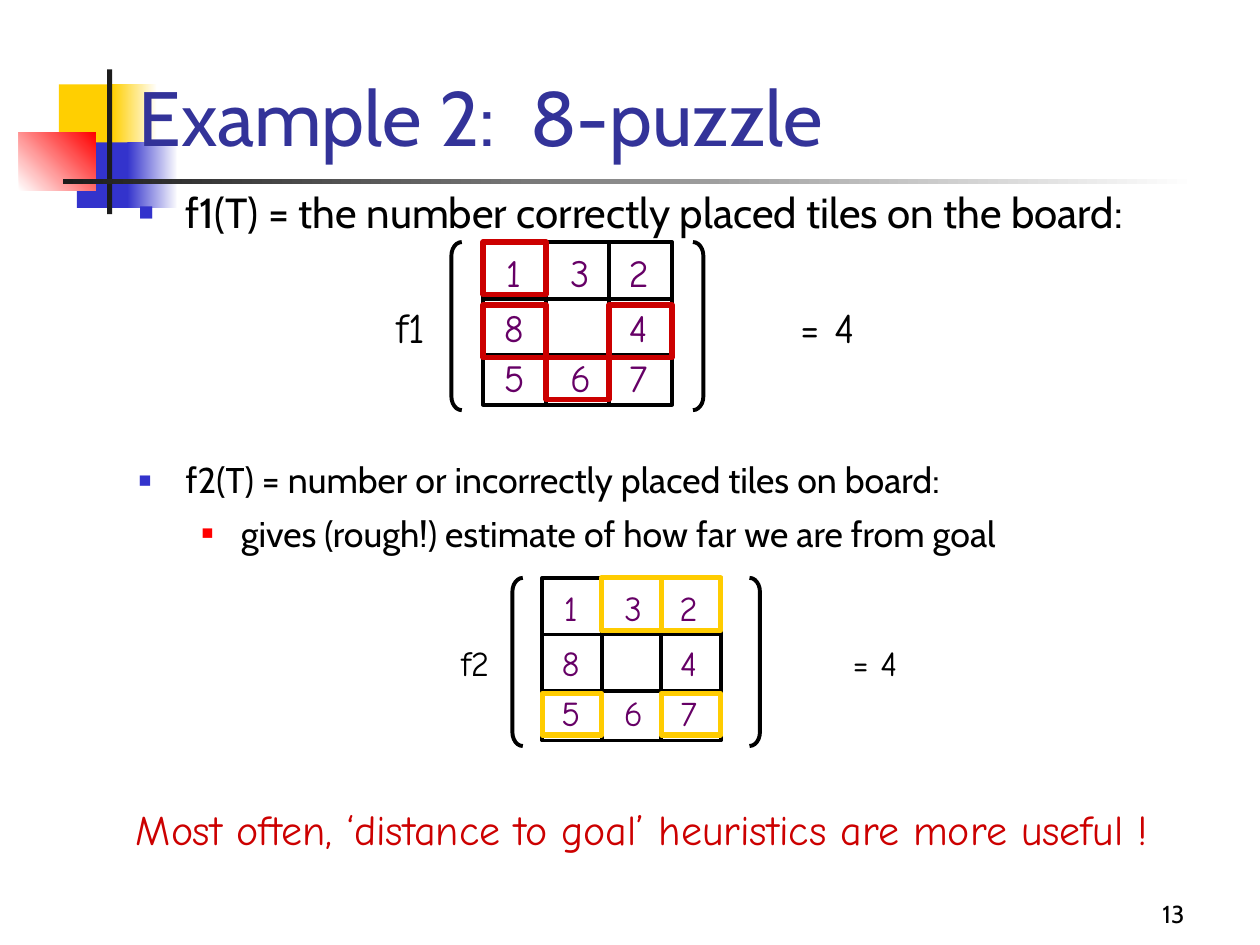
from lxml import etree
from pptx import Presentation
from pptx.dml.color import RGBColor
from pptx.enum.shapes import MSO_CONNECTOR, MSO_SHAPE
from pptx.enum.text import MSO_ANCHOR, MSO_AUTO_SIZE, PP_ALIGN
from pptx.oxml.ns import qn
from pptx.util import Cm, Pt

RECT, STRAIGHT = MSO_SHAPE.RECTANGLE, MSO_CONNECTOR.STRAIGHT
LEFT_BRACKET, RIGHT_BRACKET = MSO_SHAPE.LEFT_BRACKET, MSO_SHAPE.RIGHT_BRACKET
LEFT, CENTER, RIGHT = PP_ALIGN.LEFT, PP_ALIGN.CENTER, PP_ALIGN.RIGHT
TOP, MIDDLE, BOTTOM = MSO_ANCHOR.TOP, MSO_ANCHOR.MIDDLE, MSO_ANCHOR.BOTTOM
NO_FIT = MSO_AUTO_SIZE.NONE

BLACK = RGBColor(0x00, 0x00, 0x00)
WHITE = RGBColor(0xFF, 0xFF, 0xFF)
CHARCOAL = RGBColor(0x1C, 0x1C, 0x1C)
YELLOW = RGBColor(0xFF, 0xCF, 0x01)
BLUE = RGBColor(0x33, 0x33, 0xCC)
RED = RGBColor(0xFF, 0x00, 0x00)
INDIGO = RGBColor(0x33, 0x33, 0x99)
PURPLE = RGBColor(0x66, 0x00, 0x66)
CRIMSON = RGBColor(0xCC, 0x00, 0x00)
GOLD = RGBColor(0xFF, 0xCC, 0x00)
SANS, HAND = "Cabin", "Comic Neue"

# Content; all lengths are in centimetres
TITLE = "Example 2:  8-puzzle"
CONCLUSION = "Most often, ‘distance to goal’ heuristics are more useful !"
PAGE = "13"

# top, size, [(level, text)]
LISTS = [
    (3.63, 24, [(0, "f1(T) = the number correctly placed tiles on the board:")]),
    (9.11, 20.4, [(0, "f2(T) = number or incorrectly placed tiles on board:"),
                  (1, "gives (rough!) estimate of how far we are from goal")]),
]
# margin, hanging indent, bullet colour, bullet size in percent
BULLETS = [(0.95, 0.95, BLUE, 60), (2.06, 0.79, RED, 55)]

TILES = ["132", "8 4", "567"]
BOARDS = [
    dict(name="f1", value="= 4", left=9.74, top=4.88, cell=1.27,
         tile_size=22, label_size=24, name_x=8.28, value_x=16.69,
         brackets=(9.1, 13.97), marked="1846", mark_color=CRIMSON),
    dict(name="f2", value="= 4", left=10.93, top=11.65, cell=1.2,
         tile_size=20, label_size=20, name_x=9.58, value_x=17.64,
         brackets=(10.33, 15.11), marked="3257", mark_color=GOLD),
]
# Vertical offsets that both boards share
ROW_EDGES = [0, 1.14, 2.28, 3.28]
TILE_MIDDLES = [0.6, 1.71, 2.72]
MARKS = [(0, 1.06), (1.27, 1.06), (2.33, 0.84)]
TILE_CENTERS = [0.48, 1.53, 2.46]  # in cell widths
LABEL_MIDDLE = 1.71
BRACKET_SIZE = (0.21, 3.39)
# Text box widths
TILE_WIDTH, NAME_WIDTH, VALUE_WIDTH = 0.88, 1.6, 2.6

# left, top, width, height, first colour, last colour, angle
DECORATION = [
    (1.19, 1.7, 1.22, 1.32, YELLOW, None, 0),
    (2.26, 1.7, 0.91, 1.32, YELLOW, WHITE, 0),
    (1.55, 2.87, 1.17, 1.32, BLUE, None, 0),
    (2.57, 2.87, 1.02, 1.32, BLUE, WHITE, 0),
    (0.38, 2.67, 1.55, 1.17, WHITE, RED, 45),
    (2.16, 1.4, 0.1, 2.92, CHARCOAL, None, 0),
    (1.27, 3.61, 22.86, 0.1, CHARCOAL, WHITE, 0),
]

prs = Presentation()
prs.slide_width, prs.slide_height = Cm(25.4), Cm(19.05)
slide = prs.slides.add_slide(prs.slide_layouts[3])
shapes = slide.shapes


def place(shape, left, top, width, height):
    shape.left, shape.top, shape.width, shape.height = map(
        Cm, (left, top, width, height))


def style(paragraph, size, color, font, align=LEFT):
    paragraph.alignment = align
    for run in paragraph.runs:
        run.font.size, run.font.name = Pt(size), font
        run.font.color.rgb = color


def add_outline(kind, box, color, width, fill=None):
    shape = shapes.add_shape(kind, *map(Cm, box))
    shape.shadow.inherit = False
    if fill is None:
        shape.fill.background()
    else:
        shape.fill.solid()
        shape.fill.fore_color.rgb = fill
    shape.line.color.rgb, shape.line.width = color, Pt(width)
    return shape


def add_line(x1, y1, x2, y2):
    line = shapes.add_connector(STRAIGHT, *map(Cm, (x1, y1, x2, y2)))
    line.line.color.rgb, line.line.width = BLACK, Pt(2.25)
    etree.SubElement(line.element.spPr, qn("a:effectLst"))


def add_text(text, box, size, color, font, align=LEFT, anchor=TOP, wrap=True):
    frame = shapes.add_textbox(*map(Cm, box)).text_frame
    frame.word_wrap, frame.vertical_anchor = wrap, anchor
    frame.text = text
    style(frame.paragraphs[0], size, color, font, align)


def add_centered(text, x, y, width, size, color):
    add_text(text, (x - width / 2, y - 0.6, width, 1.2), size, color, HAND,
             CENTER, MIDDLE, wrap=False)


def set_bullet(paragraph, margin, hanging, color, percent):
    props = paragraph._p.get_or_add_pPr()
    props.set("marL", str(Cm(margin)))
    props.set("indent", str(-Cm(hanging)))
    bullet_color = etree.SubElement(props, qn("a:buClr"))
    etree.SubElement(bullet_color, qn("a:srgbClr"), val=str(color))
    etree.SubElement(props, qn("a:buSzPct"), val=str(percent * 1000))
    etree.SubElement(props, qn("a:buChar"), char="■")


def add_board(board):
    left, top, cell = board["left"], board["top"], board["cell"]
    width, height = 3 * cell, ROW_EDGES[-1]
    add_outline(RECT, (left, top, width, height), BLACK, 2.25, WHITE)
    for i in (1, 2):
        x, y = left + i * cell, top + ROW_EDGES[i]
        add_line(x, top, x, top + height)
        add_line(left, y, left + width, y)

    for row, digits in enumerate(TILES):
        mark_top, mark_height = MARKS[row]
        for column, digit in enumerate(digits):
            if digit == " ":
                continue
            add_centered(digit, left + TILE_CENTERS[column] * cell,
                         top + TILE_MIDDLES[row], TILE_WIDTH,
                         board["tile_size"], PURPLE)
            if digit in board["marked"]:
                add_outline(RECT, (left + column * cell, top + mark_top,
                                   cell, mark_height), board["mark_color"], 3)

    for kind, x in zip((LEFT_BRACKET, RIGHT_BRACKET), board["brackets"]):
        bracket = add_outline(kind, (x, top, *BRACKET_SIZE), BLACK, 2.25)
        bracket.adjustments[0] = 1.33
    for key, label_width in (("name", NAME_WIDTH), ("value", VALUE_WIDTH)):
        add_centered(board[key], board[key + "_x"], top + LABEL_MIDDLE,
                     label_width, board["label_size"], BLACK)


# Corner decoration, kept behind the placeholders
placeholders = list(slide.placeholders)
for *box, first, last, angle in DECORATION:
    block = shapes.add_shape(RECT, *map(Cm, box))
    block.shadow.inherit = False
    block.line.fill.background()
    if last is None:
        block.fill.solid()
        block.fill.fore_color.rgb = first
    else:
        block.fill.gradient()
        block.fill.gradient_angle = angle
        for stop, color in zip(block.fill.gradient_stops, (first, last)):
            stop.color.rgb = color
for placeholder in placeholders:
    placeholder.element.getparent().append(placeholder.element)

# Title and lists
title, *bodies = placeholders[:3]
place(title, 2.54, 0.22, 20.52, 3.18)
title.text_frame.text = TITLE
title.text_frame.vertical_anchor = BOTTOM
title.text_frame.auto_size = NO_FIT
style(title.text_frame.paragraphs[0], 44, INDIGO, SANS)

for body, (top, size, items) in zip(bodies, LISTS):
    place(body, 2.54, top, 21.16, 2.54)
    frame = body.text_frame
    frame.text = "\n".join(text for _, text in items)
    frame.auto_size, frame.vertical_anchor = NO_FIT, TOP
    for paragraph, (level, _) in zip(frame.paragraphs, items):
        paragraph.level = level
        paragraph.space_before = Pt(6)
        style(paragraph, size, BLACK, SANS)
        set_bullet(paragraph, *BULLETS[level])

# Boards, conclusion and page number
for board in BOARDS:
    add_board(board)
add_text(CONCLUSION, (2.49, 16.08, 21.01, 1.27), 24, CRIMSON, HAND, wrap=False)
add_text(PAGE, (18.85, 17.58, 5.28, 1.27), 14, BLACK, SANS, RIGHT, BOTTOM)

prs.save("out.pptx")
